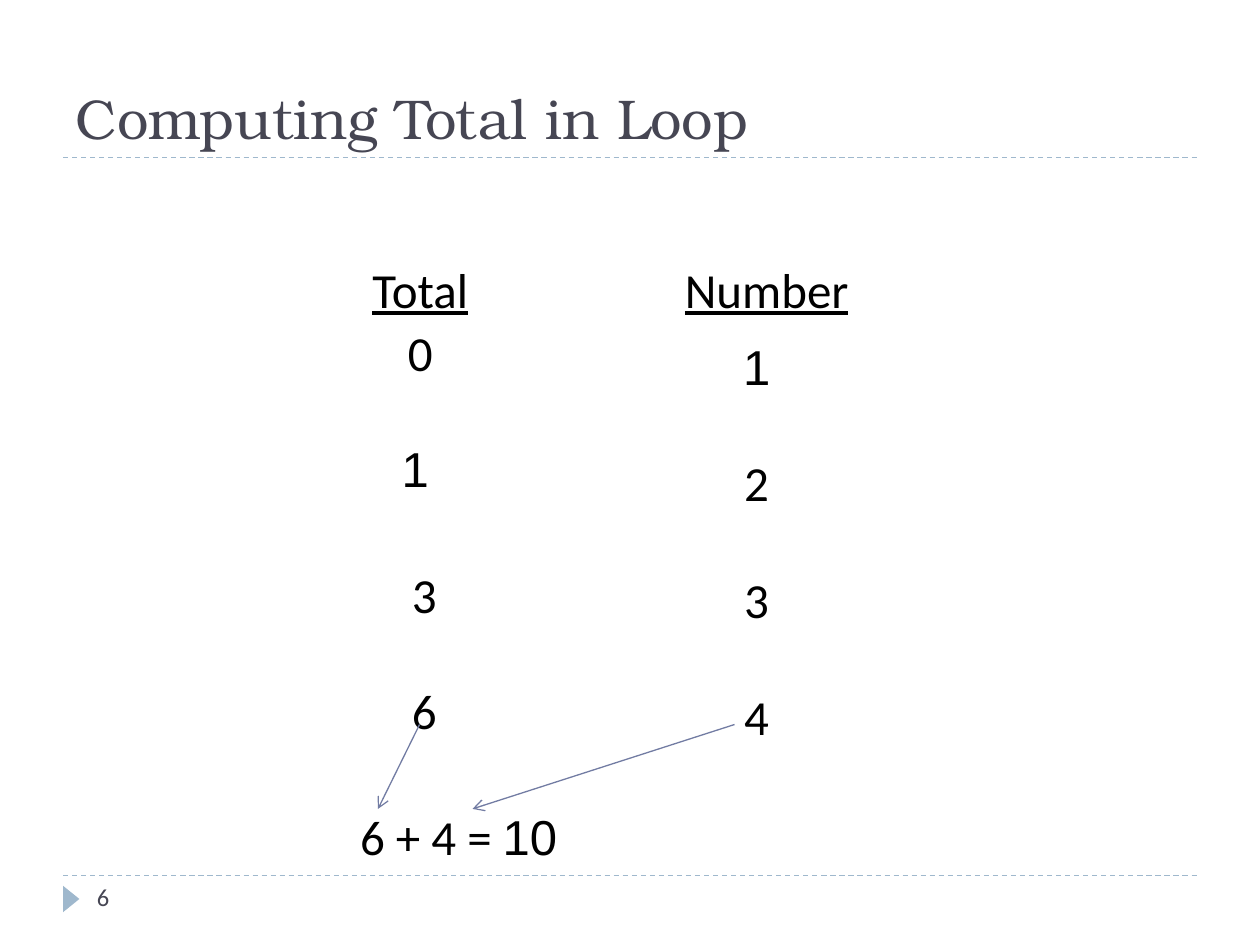
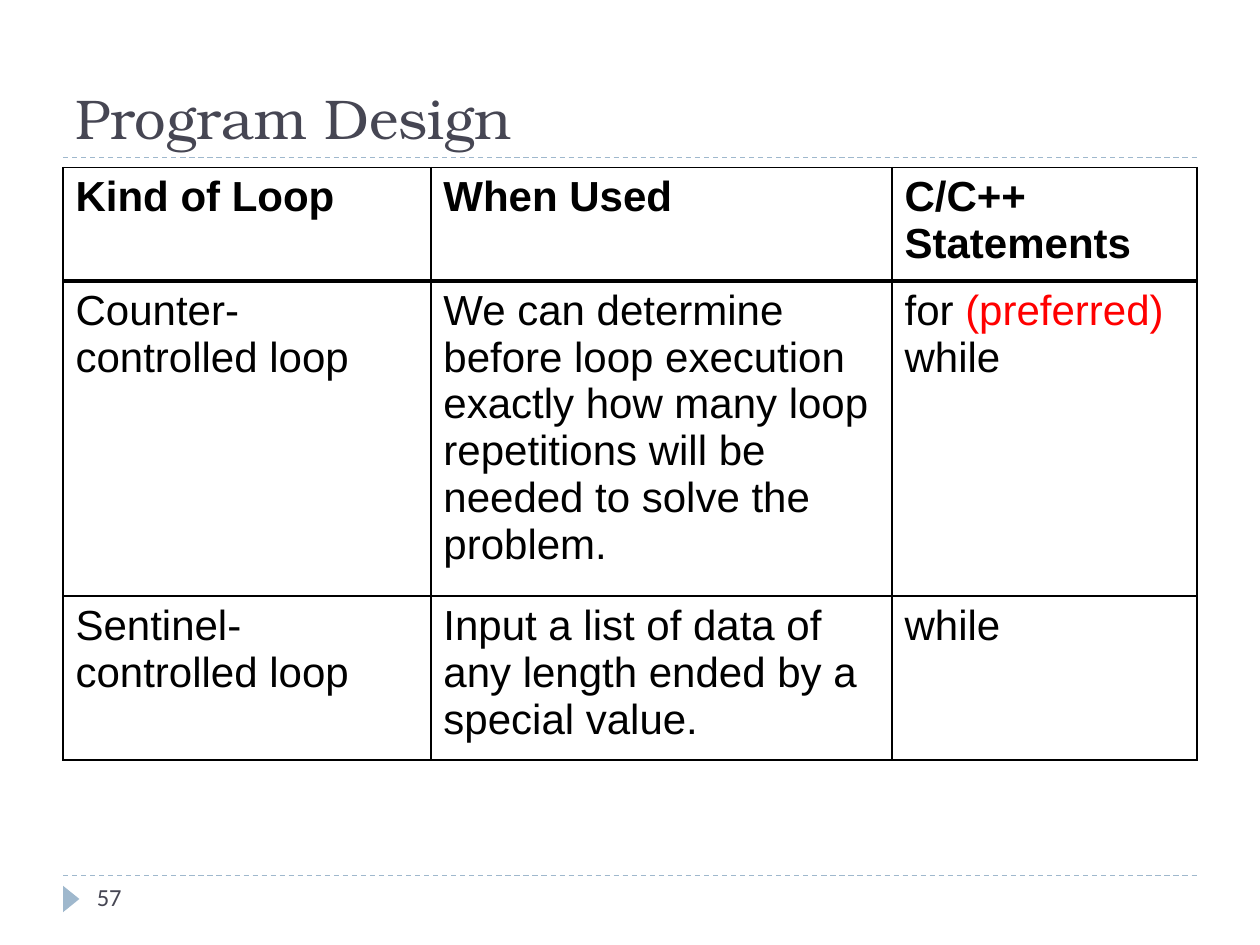
from dataclasses import dataclass
from typing import NamedTuple

from lxml.etree import SubElement
from pptx import Presentation
from pptx.dml.color import RGBColor
from pptx.enum.dml import MSO_LINE
from pptx.enum.shapes import MSO_CONNECTOR, MSO_SHAPE
from pptx.enum.text import MSO_ANCHOR, PP_ALIGN
from pptx.oxml.ns import qn
from pptx.util import Emu, Pt

PX = 9144  # 100 px to the inch

BLACK = RGBColor(0x00, 0x00, 0x00)
WHITE = RGBColor(0xFF, 0xFF, 0xFF)
RED = RGBColor(0xFF, 0x00, 0x00)
SLATE = RGBColor(0x46, 0x46, 0x53)
PALE_BLUE = RGBColor(0x9F, 0xB8, 0xCD)
ARROW_BLUE = RGBColor(0x72, 0x7C, 0xA3)

TITLE_FONT = "TeX Gyre Bonum"
BODY_FONT = "Calibri"
TABLE_FONT = "Arial"


class Span(NamedTuple):
    text: str
    font: str = BODY_FONT
    color: RGBColor = BLACK


class Line(NamedTuple):
    start: tuple[int, int]
    end: tuple[int, int]
    color: RGBColor
    dashed: bool = False
    arrow: bool = False


@dataclass
class Label:
    left: int
    top: int
    width: int
    paragraphs: list[list[Span]]
    height: int = 92
    size: int = 28
    align: PP_ALIGN = PP_ALIGN.LEFT
    anchor: MSO_ANCHOR = MSO_ANCHOR.MIDDLE
    underline: bool = False
    gap: int = 0


RULES = [Line((50, y), (950, y), PALE_BLUE, dashed=True) for y in (695, 125)]

LOOP_LABELS = [
    Label(250, 183, 167, [[Span("Total")]], align=PP_ALIGN.CENTER, underline=True),
    Label(525, 183, 167, [[Span("Number")]], align=PP_ALIGN.CENTER, underline=True),
    Label(250, 233, 167, [[Span("0")]], align=PP_ALIGN.CENTER),
    Label(517, 258, 167, [[Span("1", TABLE_FONT)], [Span("2")], [Span("3")], [Span("4")]],
          height=342, align=PP_ALIGN.CENTER, gap=33),
    Label(309, 325, 100, [[Span("1", TABLE_FONT)]]),
    Label(317, 425, 100, [[Span("3")]]),
    Label(317, 517, 100, [[Span("6")]]),
    Label(276, 617, 250, [[Span("6 + 4 = "), Span("10", TABLE_FONT)]]),
]
LOOP_ARROWS = [
    Line((333, 575), (300, 642), ARROW_BLUE, arrow=True),
    Line((583, 575), (375, 642), ARROW_BLUE, arrow=True),
]

COLUMN_WIDTHS = [292, 366, 242]
ROW_HEIGHTS = [84, 233, 121]
LOOP_KINDS = [
    ["Kind of Loop", "When Used", "C/C++ Statements"],
    [
        "Counter-controlled loop",
        "We can determine before loop execution exactly how many loop "
        "repetitions will be needed to solve the problem.",
        [[Span("for ", TABLE_FONT), Span("(preferred)", TABLE_FONT, RED)],
         [Span("while", TABLE_FONT)]],
    ],
    [
        "Sentinel-controlled loop",
        "Input a list of data of any length ended by a special value.",
        "while",
    ],
]


def px(*lengths: int) -> list[Emu]:
    return [Emu(length * PX) for length in lengths]


def write(frame, paragraphs: list[list[Span]], size: int) -> None:
    for index, spans in enumerate(paragraphs):
        para = frame.add_paragraph() if index else frame.paragraphs[0]
        para.font.size = Pt(size)
        same_look = len({span[1:] for span in spans}) == 1
        for span in spans:
            run = para.add_run()
            run.text = span.text
            font = para.font if same_look else run.font
            font.size = Pt(size)
            font.name = span.font
            font.color.rgb = span.color


def add_label(page, label: Label) -> None:
    box = page.shapes.add_textbox(*px(label.left, label.top, label.width, label.height))
    frame = box.text_frame
    frame.word_wrap = True
    frame.vertical_anchor = label.anchor
    write(frame, label.paragraphs, label.size)
    for index, para in enumerate(frame.paragraphs):
        para.alignment = label.align
        if label.underline:
            para.font.underline = True
        if index and label.gap:
            para.space_before = Pt(label.gap)


def add_line(page, line: Line) -> None:
    connector = page.shapes.add_connector(
        MSO_CONNECTOR.STRAIGHT, *px(*line.start, *line.end))
    connector.line.color.rgb = line.color
    connector.line.width = Pt(0.75)
    if line.dashed:
        connector.line.dash_style = MSO_LINE.DASH
    if line.arrow:
        SubElement(connector.line._get_or_add_ln(), qn("a:tailEnd"), type="arrow")
    SubElement(connector._element.spPr, qn("a:effectLst"))


def add_page(deck, title: str, number: int):
    """Add a slide with the shared title, rules, marker and page number."""
    page = deck.slides.add_slide(deck.slide_layouts[5])
    for rule in RULES:
        add_line(page, rule)

    marker = page.shapes.add_shape(MSO_SHAPE.ISOSCELES_TRIANGLE, *px(46, 707, 21, 13))
    marker.rotation = 90
    marker.shadow.inherit = False
    marker.fill.solid()
    marker.fill.fore_color.rgb = PALE_BLUE
    marker.line.fill.background()

    heading = page.shapes.title
    heading.left, heading.top, heading.width, heading.height = px(50, 17, 900, 108)
    heading.text_frame.vertical_anchor = MSO_ANCHOR.BOTTOM
    write(heading.text_frame, [[Span(title, TITLE_FONT, SLATE)]], 32)
    heading.text_frame.paragraphs[0].alignment = PP_ALIGN.LEFT

    add_label(page, Label(67, 695, 217, [[Span(str(number), color=SLATE)]],
                          height=40, size=14, anchor=MSO_ANCHOR.TOP))
    return page


def set_borders(cell, top: int, bottom: int) -> None:
    """Draw black borders; top and bottom are widths in points."""
    properties = cell._tc.get_or_add_tcPr()
    sides = {"lnL": 1, "lnR": 1, "lnT": top, "lnB": bottom}
    for position, (side, width) in enumerate(sides.items()):
        border = SubElement(properties, qn(f"a:{side}"), w=str(Pt(width)))
        fill = SubElement(border, qn("a:solidFill"))
        SubElement(fill, qn("a:srgbClr"), val=str(BLACK))
        properties.insert(position, border)


def add_loop_table(page) -> None:
    table = page.shapes.add_table(
        len(ROW_HEIGHTS), len(COLUMN_WIDTHS),
        *px(50, 133, sum(COLUMN_WIDTHS), sum(ROW_HEIGHTS))).table
    table.horz_banding = False
    for column, width in zip(table.columns, px(*COLUMN_WIDTHS)):
        column.width = width
    for row_index, (row, height) in enumerate(zip(table.rows, px(*ROW_HEIGHTS))):
        row.height = height
        for cell, content in zip(row.cells, LOOP_KINDS[row_index]):
            cell.fill.solid()
            cell.fill.fore_color.rgb = WHITE
            set_borders(cell, top=2 if row_index == 1 else 1,
                        bottom=2 if row_index == 0 else 1)
            if isinstance(content, str):
                content = [[Span(content, TABLE_FONT)]]
            write(cell.text_frame, content, 24)
            for para in cell.text_frame.paragraphs:
                para.font.bold = row_index == 0


def main() -> None:
    deck = Presentation()
    deck.slide_width, deck.slide_height = px(1000, 750)

    total_page = add_page(deck, "Computing Total in Loop", 6)
    for label in LOOP_LABELS:
        add_label(total_page, label)
    for arrow in LOOP_ARROWS:
        add_line(total_page, arrow)

    design_page = add_page(deck, "Program Design", 57)
    add_loop_table(design_page)

    deck.save("out.pptx")


if __name__ == "__main__":
    main()
